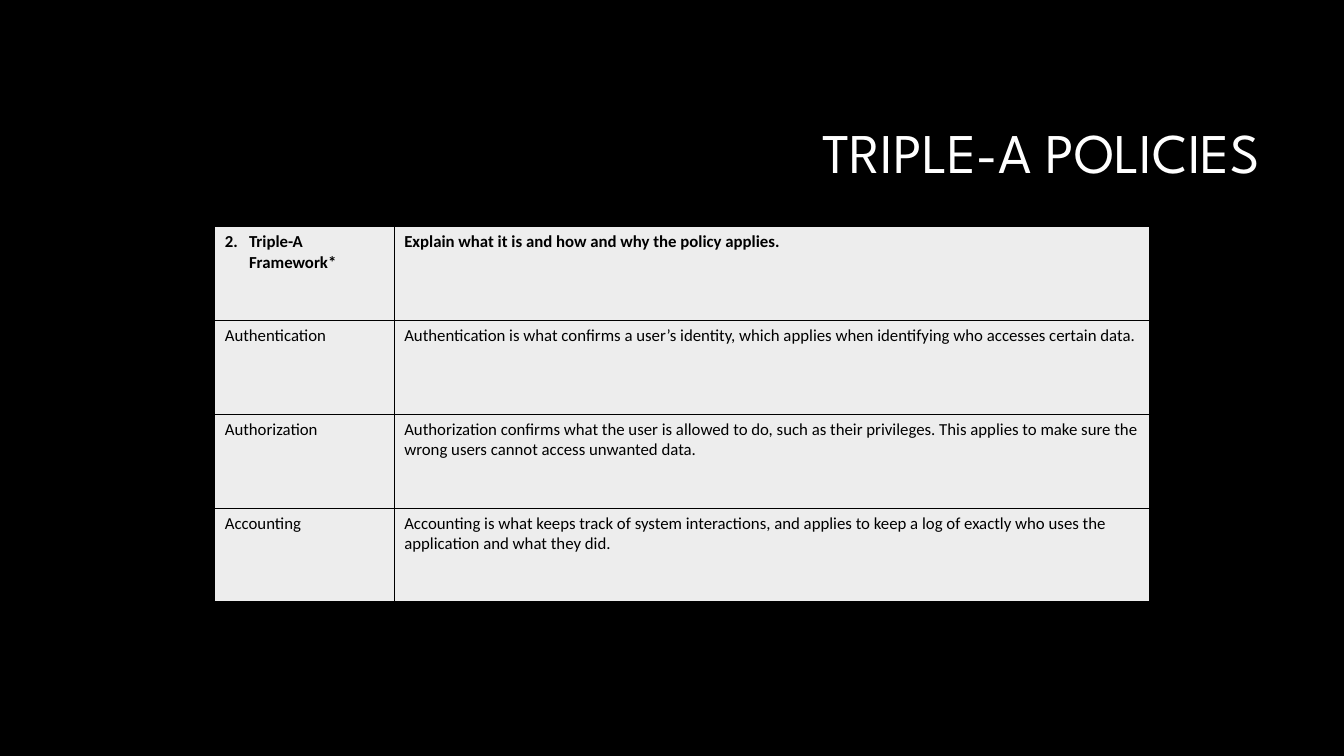
from lxml import etree
from pptx import Presentation
from pptx import util as u
from pptx.dml.color import RGBColor
from pptx.enum import text
from pptx.oxml import ns

BLACK = RGBColor(0, 0, 0)
WHITE = RGBColor(0xFF, 0xFF, 0xFF)
LIGHT_GREY = RGBColor(0xED, 0xED, 0xED)

POLICIES = [
    ("Triple-A Framework*", "Explain what it is and how and why the policy applies."),
    ("Authentication",
     "Authentication is what confirms a user’s identity, which applies when "
     "identifying who accesses certain data."),
    ("Authorization",
     "Authorization confirms what the user is allowed to do, such as their privileges. "
     "This applies to make sure the wrong users cannot access unwanted data."),
    ("Accounting",
     "Accounting is what keeps track of system interactions, and applies to keep a log "
     "of exactly who uses the application and what they did."),
]


def set_font(para, name, size, color, bold=False):
    para.font.name = name
    para.font.size = u.Pt(size)
    para.font.bold = bold
    para.font.color.rgb = color


def number_paragraph(para, start, indent):
    """Give the paragraph an automatic number with a hanging indent."""
    properties = para._p.get_or_add_pPr()
    properties.set("marL", str(indent))
    properties.set("indent", str(-indent))
    etree.SubElement(properties, ns.qn("a:buFont"), typeface="+mj-lt")
    etree.SubElement(properties, ns.qn("a:buAutoNum"),
                     type="arabicPeriod", startAt=str(start))


def add_borders(cell, color, width):
    properties = cell._tc.get_or_add_tcPr()
    for side in ("lnL", "lnR", "lnT", "lnB"):
        line = etree.SubElement(properties, ns.qn(f"a:{side}"), w=str(width))
        fill = etree.SubElement(line, ns.qn("a:solidFill"))
        etree.SubElement(fill, ns.qn("a:srgbClr"), val=str(color))


def add_title(page, left, top, width, height):
    box = page.shapes.add_textbox(left, top, width, height)
    frame = box.text_frame
    frame.word_wrap = True
    frame.vertical_anchor = text.MSO_ANCHOR.MIDDLE
    para = frame.paragraphs[0]
    para.text = "TRIPLE-A POLICIES"
    para.alignment = text.PP_ALIGN.RIGHT
    para.line_spacing = 0.9
    set_font(para, "League Spartan", 40, WHITE)


def add_policy_table(page, left, top, width, height):
    table = page.shapes.add_table(len(POLICIES), 2, left, top, width, height).table
    table.columns[0].width = u.Inches(1.78)
    table.columns[1].width = width - table.columns[0].width
    for row, entries in enumerate(POLICIES):
        for column, wording in enumerate(entries):
            cell = table.cell(row, column)
            add_borders(cell, BLACK, u.Pt(0.75))
            cell.fill.solid()
            cell.fill.fore_color.rgb = LIGHT_GREY
            para = cell.text_frame.paragraphs[0]
            para.text = wording
            if row == column == 0:
                number_paragraph(para, 2, u.Inches(0.24))
            set_font(para, "Calibri", 12, BLACK, bold=row == 0)


def main():
    deck = Presentation()
    deck.slide_width, deck.slide_height = u.Inches(13.33), u.Inches(7.5)
    page = deck.slides.add_slide(deck.slide_layouts[6])
    page.background.fill.solid()
    page.background.fill.fore_color.rgb = BLACK
    add_title(page, u.Inches(3.17), u.Inches(0.84), u.Inches(9.42), u.Inches(1.41))
    add_policy_table(page, u.Inches(2.13), u.Inches(2.25), u.Inches(9.27), u.Inches(3.72))
    deck.save("out.pptx")


if __name__ == "__main__":
    main()
